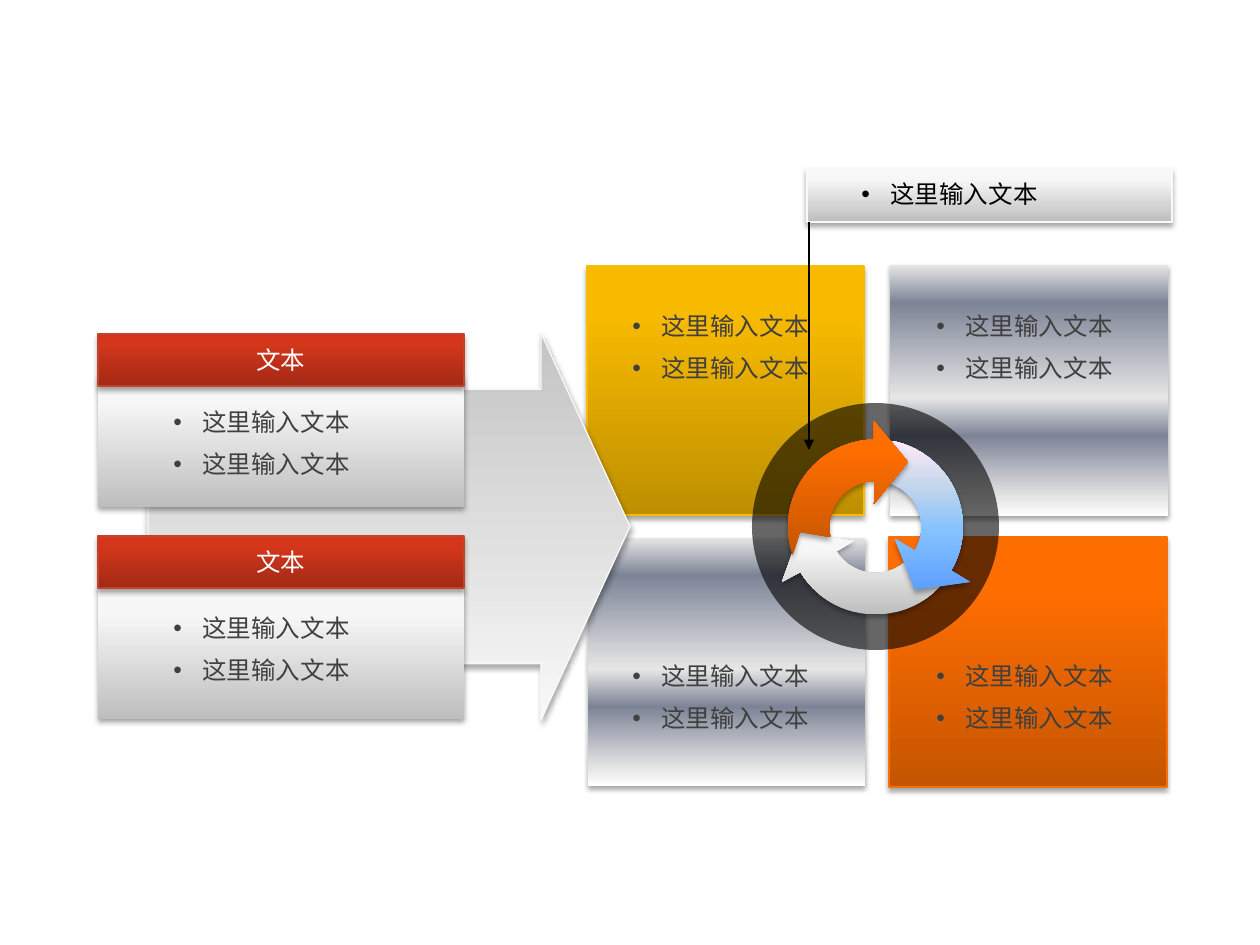
import math
from dataclasses import dataclass
from typing import NamedTuple, Optional

import lxml.etree
import pptx
import pptx.dml.color
import pptx.enum.shapes
import pptx.enum.text
import pptx.oxml.ns
import pptx.util

PX = 914400 / 126
KIND = pptx.enum.shapes.MSO_SHAPE
qn = pptx.oxml.ns.qn
Point = tuple[float, float]
Stops = tuple[tuple[int, str], ...]


@dataclass(frozen=True)
class Theme:
    """Colours, fonts and type sizes of the slide."""
    gold: Stops = ((0, "BE8F00"), (80, "F7BA00"), (100, "F8BB00"))
    flame: Stops = ((0, "C55500"), (80, "FF6E01"), (100, "FF6F02"))
    red: Stops = ((0, "A32915"), (80, "D3361B"), (100, "D83318"))
    pale: Stops = ((0, "BEBEBE"), (80, "F7F7F7"), (100, "F8F8F8"))
    fade: Stops = ((0, "F8F8F8"), (100, "C4C4C4"))
    sky: Stops = ((0, "5E9EFF"), (40, "85C2FF"), (70, "C4D6EB"), (100, "FFEBFA"))
    steel: Stops = ((0, "FFFFFF"), (7, "E6E6E6"), (32, "7D8496"),
                    (47, "E6E6E6"), (85, "7D8496"), (100, "E6E6E6"))
    gold_edge: str = "F9BC00"
    flame_edge: str = "F6710C"
    red_edge: str = "C3432D"
    pale_edge: str = "F9F9F9"
    white: str = "FFFFFF"
    black: str = "000000"
    grey: str = "404040"
    font: str = "Arial"
    head_font: str = "Noto Sans CJK KR"
    size: int = 14
    rule: float = 0.75


class Block(NamedTuple):
    """A filled preset shape, in px."""
    left: int
    top: int
    width: int
    height: int
    stops: Stops
    edge: Optional[str] = None
    kind: int = KIND.RECTANGLE


class Note(NamedTuple):
    """A bulleted text box, in px."""
    left: int
    top: int
    lines: int = 2
    color: str = "404040"


class Blade(NamedTuple):
    """One curved arrow of the cycle."""
    points: list[Point]
    stops: Stops


THEME = Theme()
HUB = (875.5, 527)
OUTER, INNER = 87.5, 46


def px(value: float) -> int:
    """Turn px into EMU."""
    return round(value * PX)


def rgb(code: str) -> pptx.dml.color.RGBColor:
    """Turn a hex code into a colour."""
    return pptx.dml.color.RGBColor.from_string(code)


def add(parent, tag: str, **attrs):
    """Append a drawing element to its parent."""
    return lxml.etree.SubElement(parent, qn(tag), attrs)


def paint(shape, stops: Stops, edge: Optional[str]) -> None:
    """Give a shape its upward gradient, outline and soft shadow."""
    shape.fill.gradient()
    shape.fill.gradient_angle = 90
    props = shape._element.spPr
    ramp = props.find(".//" + qn("a:gsLst"))
    for stop in list(ramp):
        ramp.remove(stop)
    for place, code in stops:
        add(add(ramp, "a:gs", pos=str(place * 1000)), "a:srgbClr", val=code)
    if edge:
        shape.line.color.rgb = rgb(edge)
        shape.line.width = pptx.util.Pt(THEME.rule)
    else:
        shape.line.fill.background()
    shape.shadow.inherit = False
    shade = add(props.find(qn("a:effectLst")), "a:outerShdw", blurRad="39370",
                dist="22860", dir="5400000", rotWithShape="0")
    add(add(shade, "a:srgbClr", val=THEME.black), "a:alpha", val="35000")


def draw_block(slide, block: Block):
    """Draw one gradient block."""
    box = map(px, (block.left, block.top, block.width, block.height))
    shape = slide.shapes.add_shape(block.kind, *box)
    paint(shape, block.stops, block.edge)
    return shape


def draw_card(slide, top: int, body: int, height: int) -> None:
    """Draw a pale card under a red header."""
    draw_block(slide, Block(98, body, 366, height, THEME.pale))
    head = draw_block(slide, Block(98, top, 366, 52, THEME.red, THEME.red_edge))
    frame = head.text_frame
    frame.word_wrap = False
    frame.vertical_anchor = pptx.enum.text.MSO_ANCHOR.MIDDLE
    para = frame.paragraphs[0]
    para.text = "文本"
    para.alignment = pptx.enum.text.PP_ALIGN.CENTER
    style(para, THEME.white, THEME.head_font)


def style(para, color: str, font: str) -> None:
    """Set the type of a paragraph."""
    para.font.size = pptx.util.Pt(THEME.size)
    para.font.name = font
    para.font.color.rgb = rgb(color)


def draw_note(slide, note: Note) -> None:
    """Draw a bulleted text box."""
    height = 43 if note.lines == 1 else 87
    box = slide.shapes.add_textbox(*map(px, (note.left, note.top, 227, height)))
    frame = box.text_frame
    frame.word_wrap = True
    for row in range(note.lines):
        para = frame.add_paragraph() if row else frame.paragraphs[0]
        para.text = "这里输入文本"
        if row:
            para.space_before = pptx.util.Pt(7)
        props = para._p.get_or_add_pPr()
        props.set("marL", str(px(29)))
        props.set("indent", str(-px(29)))
        add(props, "a:buFont", typeface=THEME.font)
        add(props, "a:buChar", char="•")
        style(para, note.color, THEME.font)


def arc(radius: float, start: int, end: int) -> list[Point]:
    """List points on a circle round the hub, clockwise from east in degrees."""
    turns = [math.radians(start + (end - start) * i / 24) for i in range(25)]
    return [(HUB[0] + radius * math.cos(t), HUB[1] + radius * math.sin(t)) for t in turns]


def draw_blade(slide, blade: Blade) -> None:
    """Draw one curved arrow."""
    first, *rest = [(px(x), px(y)) for x, y in blade.points]
    form = slide.shapes.build_freeform(*first)
    form.add_line_segments(rest, close=True)
    paint(form.convert_to_shape(), blade.stops, None)


def draw_ring(slide) -> None:
    """Draw the sheer dark ring."""
    ring = slide.shapes.add_shape(KIND.DONUT, *map(px, (752, 403, 247, 247)))
    ring.fill.solid()
    ring.fill.fore_color.rgb = rgb(THEME.black)
    ring.line.fill.background()
    ring.shadow.inherit = False
    add(ring._element.spPr.find(".//" + qn("a:srgbClr")), "a:alpha", val="60000")


def draw_lead(slide) -> None:
    """Draw the arrow from the callout to the ring."""
    kind = pptx.enum.shapes.MSO_CONNECTOR.STRAIGHT
    lead = slide.shapes.add_connector(kind, *map(px, (809, 222, 809, 450)))
    lead.line.color.rgb = rgb(THEME.black)
    lead.line.width = pptx.util.Pt(THEME.rule)
    add(lead.line._get_or_add_ln(), "a:tailEnd", type="triangle")
    add(lead._element.spPr, "a:effectLst")


def main() -> None:
    """Build and save the slide."""
    deck = pptx.Presentation()
    deck.slide_width, deck.slide_height = px(1260), px(945)
    slide = deck.slides.add_slide(deck.slide_layouts[6])
    draw_block(slide, Block(587, 266, 277, 249, THEME.gold, THEME.gold_edge))
    draw_block(slide, Block(588, 538, 277, 248, THEME.steel))
    arrow = draw_block(slide, Block(148, 333, 482, 387, THEME.fade,
                                    THEME.pale_edge, KIND.RIGHT_ARROW))
    arrow.adjustments[0], arrow.adjustments[1] = 0.71, 0.23
    draw_block(slide, Block(889, 537, 278, 250, THEME.flame, THEME.flame_edge))
    draw_block(slide, Block(890, 265, 278, 251, THEME.steel))
    draw_card(slide, 536, 587, 132)
    draw_ring(slide)
    draw_block(slide, Block(807, 168, 365, 54, THEME.pale, THEME.pale_edge))
    draw_lead(slide)
    heads = ([(782, 582), (800, 532), (854, 541)],
             [(970, 582), (915, 590), (895, 539)],
             [(800, 532), (830, 537)], [(874, 504), (908, 462), (874, 421)])
    for blade in (
            Blade(arc(OUTER, 41, 149) + heads[0] + arc(INNER, 148, 50), THEME.pale),
            Blade(arc(OUTER, -81, 30) + heads[1] + arc(INNER, 31, -72), THEME.sky),
            Blade(arc(OUTER, 269, 161) + heads[2] + arc(INNER, 168, 269) + heads[3],
                  THEME.flame)):
        draw_blade(slide, blade)
    draw_card(slide, 334, 375, 132)
    for top in (305, 655):
        for left in (620, 924):
            draw_note(slide, Note(left, top))
    draw_note(slide, Note(849, 173, 1, THEME.black))
    for top in (401, 607):
        draw_note(slide, Note(161, top, color=THEME.grey))
    deck.save("out.pptx")


if __name__ == "__main__":
    main()
